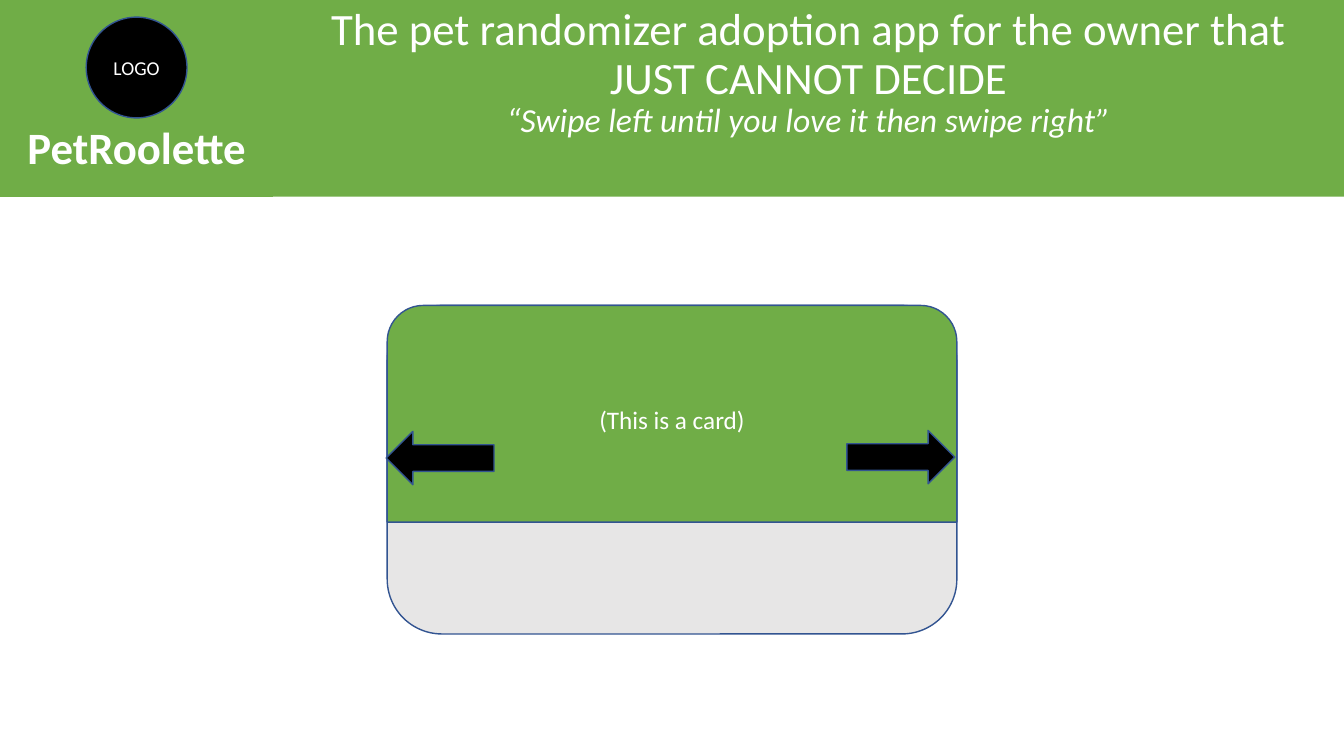
import pptx
import pptx.util
import pptx.dml.color
import pptx.enum.shapes
import pptx.enum.text

Inches = pptx.util.Inches
Pt = pptx.util.Pt
RGBColor = pptx.dml.color.RGBColor
SHAPE = pptx.enum.shapes.MSO_SHAPE
ANCHOR = pptx.enum.text.MSO_ANCHOR
ALIGN = pptx.enum.text.PP_ALIGN

GREEN = RGBColor(0x70, 0xAD, 0x47)
GREY = RGBColor(0xE7, 0xE6, 0xE6)
BLACK = RGBColor(0, 0, 0)
WHITE = RGBColor(0xFF, 0xFF, 0xFF)
OUTLINE = RGBColor(0x32, 0x54, 0x91)
FONT = "Calibri"


def add_box(page, kind, left, top, width, height, fill, outlined=True):
    box = page.shapes.add_shape(
        kind, Inches(left), Inches(top), Inches(width), Inches(height))
    box.shadow.inherit = False
    box.fill.solid()
    box.fill.fore_color.rgb = fill
    if outlined:
        box.line.color.rgb = OUTLINE
        box.line.width = Pt(1)
    else:
        box.line.fill.background()
    return box


def write(box, lines, anchor=ANCHOR.MIDDLE, spacing=1.0):
    frame = box.text_frame
    frame.word_wrap = True
    frame.vertical_anchor = anchor
    for index, (text, size, bold, italic) in enumerate(lines):
        para = frame.add_paragraph() if index else frame.paragraphs[0]
        para.alignment = ALIGN.CENTER
        para.line_spacing = spacing
        span = para.add_run()
        span.text = text
        span.font.name = FONT
        span.font.size = Pt(size)
        span.font.bold = bold
        span.font.italic = italic
        span.font.color.rgb = WHITE


def add_brand(page, left, top, width, height):
    panel = add_box(page, SHAPE.FLOWCHART_PROCESS, left, top, width, height,
                    GREEN, outlined=False)
    panel.text_frame.margin_bottom = Inches(0.23)
    write(panel, [("PetRoolette", 32, True, False)], ANCHOR.BOTTOM)
    size = 1
    badge = add_box(page, SHAPE.OVAL, left + (width - size) / 2, top + 0.17,
                    size, size, BLACK)
    write(badge, [("LOGO", 14, False, False)])


def add_headline(page, left, top, width, height):
    banner = add_box(page, SHAPE.RECTANGLE, left, top, width, height,
                     GREEN, outlined=False)
    banner.text_frame.margin_top = Inches(0.07)
    write(banner, [
        ("The pet randomizer adoption app for the owner that", 32, False, False),
        ("JUST CANNOT DECIDE", 32, False, False),
        ("“Swipe left until you love it then swipe right”", 24, False, True),
    ], ANCHOR.TOP, 0.9)


def add_card(page, left, top, width, height):
    add_box(page, SHAPE.ROUNDED_RECTANGLE, left, top, width, height, GREY)
    face = add_box(page, SHAPE.ROUND_2_SAME_RECTANGLE, left, top, width, 2.15,
                   GREEN)
    write(face, [("(This is a card)", 18, False, False)])
    arrow_width, arrow_height = 1.07, 0.53
    add_box(page, SHAPE.RIGHT_ARROW, left + width - arrow_width - 0.02,
            top + 1.24, arrow_width, arrow_height, BLACK)
    add_box(page, SHAPE.LEFT_ARROW, left - 0.01, top + 1.25,
            arrow_width, arrow_height, BLACK)


deck = pptx.Presentation()
deck.slide_width = Inches(13.33)
deck.slide_height = Inches(7.5)
page = deck.slides.add_slide(deck.slide_layouts[6])
add_headline(page, 2.71, 0, 10.62, 1.95)
add_brand(page, 0, 0, 2.71, 1.95)
add_card(page, 3.84, 3.03, 5.65, 3.26)
deck.save("out.pptx")
